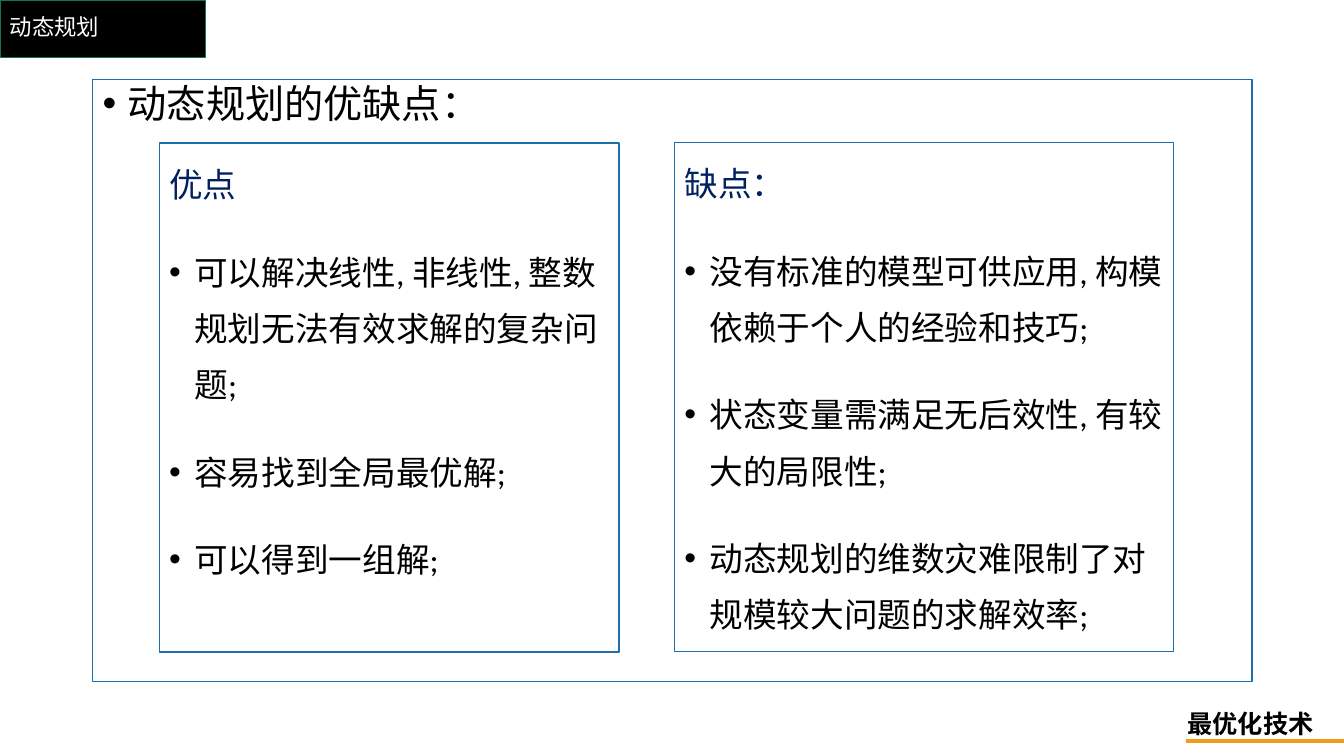
import pptx
import pptx.dml.color
import pptx.enum.shapes
import pptx.enum.text
import pptx.oxml.ns
import pptx.util
import lxml.etree

PX = 9144
INDENT = 25
COLORS = {
    "black": "000000",
    "white": "FFFFFF",
    "navy": "002060",
    "blue": "1D6FA9",
    "green": "157259",
    "orange": "F19D19",
}
ADVANTAGES = [
    "可以解决线性, 非线性, 整数规划无法有效求解的复杂问题;",
    "容易找到全局最优解;",
    "可以得到一组解;",
]
DRAWBACKS = [
    "没有标准的模型可供应用, 构模依赖于个人的经验和技巧;",
    "状态变量需满足无后效性, 有较大的局限性;",
    "动态规划的维数灾难限制了对规模较大问题的求解效率;",
]


def px(length):
    return pptx.util.Emu(length * PX)


def color(name):
    return pptx.dml.color.RGBColor.from_string(COLORS[name])


def add_box(page, box, line, width=1, fill=None):
    shape = page.shapes.add_shape(
        pptx.enum.shapes.MSO_SHAPE.RECTANGLE, *map(px, box))
    shape.shadow.inherit = False
    if fill:
        shape.fill.solid()
        shape.fill.fore_color.rgb = color(fill)
    else:
        shape.fill.background()
    shape.line.color.rgb = color(line)
    shape.line.width = pptx.util.Pt(width)
    frame = shape.text_frame
    frame.word_wrap = True
    frame.vertical_anchor = pptx.enum.text.MSO_ANCHOR.TOP
    return frame


def add_label(page, box, wrap=True):
    frame = page.shapes.add_textbox(*map(px, box)).text_frame
    frame.word_wrap = wrap
    return frame


def write(frame, text, size=24, ink="black", bold=False, spacing=1.0,
          before=0, after=0, hanging=False, bullet=False):
    para = frame.paragraphs[0]
    if para.runs:
        para = frame.add_paragraph()
    para.alignment = pptx.enum.text.PP_ALIGN.LEFT
    para.line_spacing = spacing
    para.space_before = pptx.util.Pt(before)
    para.space_after = pptx.util.Pt(after)
    span = para.add_run()
    span.text = text
    span.font.name = "Calibri"
    span.font.size = pptx.util.Pt(size)
    span.font.bold = bold
    span.font.color.rgb = color(ink)
    properties = para._p.get_or_add_pPr()
    if hanging:
        properties.set("marL", str(px(INDENT)))
        properties.set("indent", str(-px(INDENT)))
    if bullet:
        font = lxml.etree.SubElement(properties, pptx.oxml.ns.qn("a:buFont"))
        font.set("typeface", "Arial")
        mark = lxml.etree.SubElement(properties, pptx.oxml.ns.qn("a:buChar"))
        mark.set("char", "•")


def add_title(page, box):
    left, top, width, height = box
    add_box(page, (left, top, 204, height), "green", fill="black")
    frame = add_label(page, box)
    frame.vertical_anchor = pptx.enum.text.MSO_ANCHOR.MIDDLE
    write(frame, "动态规划", size=16, ink="white", spacing=0.9)


def add_footer(page, box):
    left, top, width, height = box
    frame = add_label(page, (left, top, 146, 40), wrap=False)
    write(frame, "最优化技术", size=18, bold=True)
    rule_y = px(top + height)
    rule = page.shapes.add_connector(
        pptx.enum.shapes.MSO_CONNECTOR.STRAIGHT,
        px(left + 8), rule_y, px(left + width), rule_y)
    rule.line.color.rgb = color("orange")
    rule.line.width = pptx.util.Pt(2.5)
    lxml.etree.SubElement(rule._element.spPr, pptx.oxml.ns.qn("a:effectLst"))


def add_column(page, box, heading, points, width):
    frame = add_box(page, box, "blue", width)
    layout = dict(spacing=1.4, before=10, after=12, hanging=True)
    write(frame, heading, ink="navy", **layout)
    for point in points:
        write(frame, point, bullet=True, **layout)


def add_body(page, box):
    left, top, width, height = box
    frame = add_box(page, box, "blue")
    write(frame, "动态规划的优缺点：", size=28, spacing=0.9, before=10,
          hanging=True, bullet=True)
    add_column(page, (left + 66, top + 63, 456, 505), "优点", ADVANTAGES, 1)
    add_column(page, (left + 577, top + 62, 495, 505), "缺点：", DRAWBACKS, 0.75)


def main():
    deck = pptx.Presentation()
    deck.slide_width = pptx.util.Inches(13.33)
    deck.slide_height = pptx.util.Inches(7.5)
    page = deck.slides.add_slide(deck.slide_layouts[6])
    add_title(page, (0, 0, 1150, 57))
    add_footer(page, (1168, 698, 165, 37))
    add_body(page, (92, 79, 1150, 597))
    deck.save("out.pptx")


if __name__ == "__main__":
    main()
